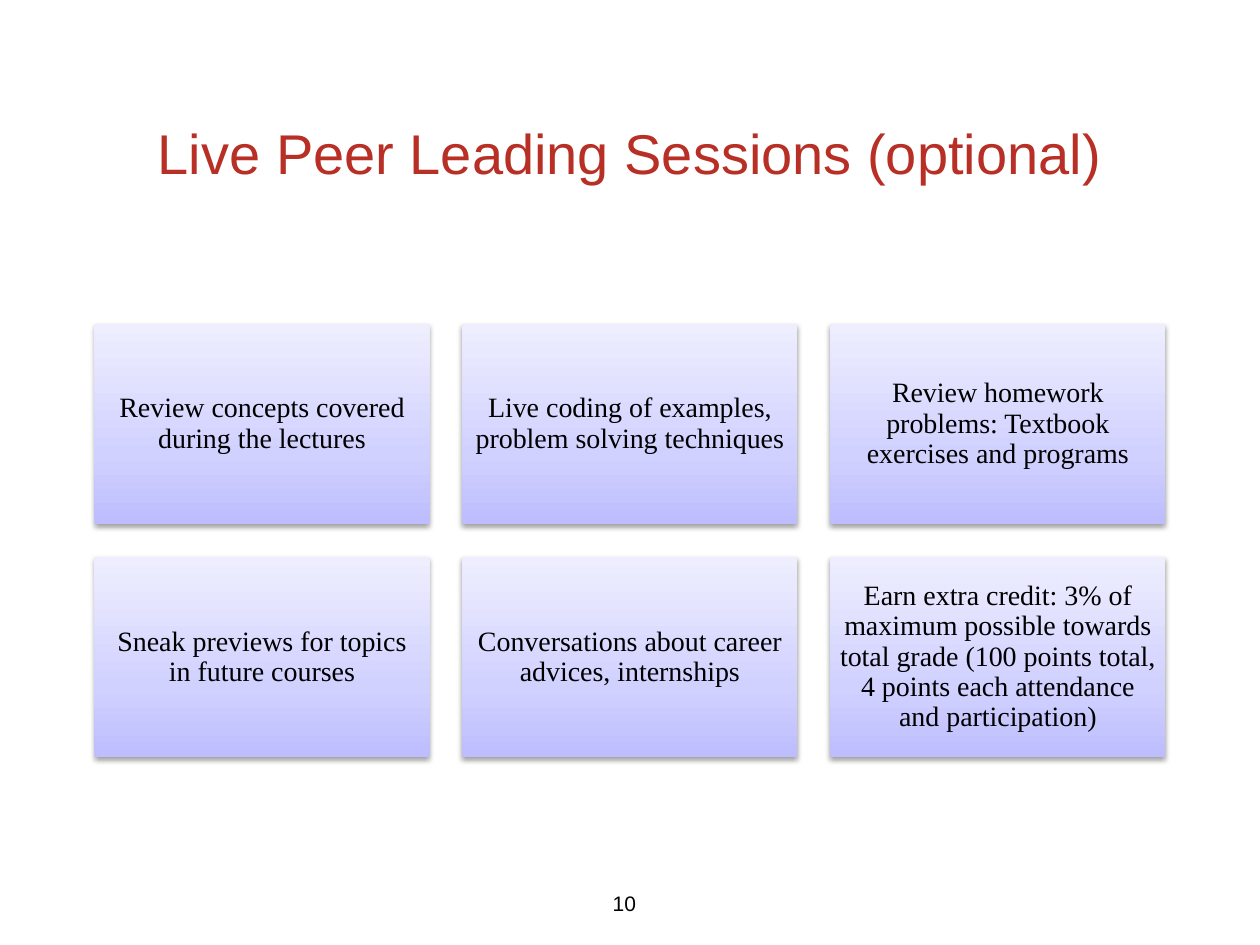
from copy import deepcopy
from dataclasses import dataclass

from lxml.etree import SubElement
from pptx import Presentation
from pptx.dml.color import RGBColor
from pptx.enum.shapes import MSO_SHAPE
from pptx.enum.text import MSO_ANCHOR, MSO_AUTO_SIZE, PP_ALIGN
from pptx.oxml.ns import qn
from pptx.util import Inches, Pt


@dataclass(frozen=True)
class Theme:
    title: str = "B82F25"
    text: str = "000000"
    shadow: str = "000000"
    gradient: tuple = ((0, "BDBDFF"), (0.35, "D1D1FF"), (1, "EEEEFF"))
    sans: str = "Arial"
    serif: str = "Times New Roman"
    title_size: int = 32
    card_size: int = 16
    number_size: int = 12


THEME = Theme()

BENEFITS = [
    "Review concepts covered during the lectures",
    "Live coding of examples, problem solving techniques",
    "Review homework problems: Textbook exercises and programs",
    "Sneak previews for topics in future courses",
    "Conversations about career advices, internships",
    "Earn extra credit: 3% of maximum possible towards total grade "
    "(100 points total, 4 points each attendance and participation)",
]


def set_text(s, text, *, size, font=THEME.sans, color=THEME.text,
             margins=(0.1, 0.05), line_spacing=None, wrap=True):
    tf = s.text_frame
    tf.word_wrap = wrap
    tf.auto_size = MSO_AUTO_SIZE.NONE
    tf.vertical_anchor = MSO_ANCHOR.MIDDLE
    tf.margin_left = tf.margin_right = Inches(margins[0])
    tf.margin_top = tf.margin_bottom = Inches(margins[1])
    p = tf.paragraphs[0]
    p.alignment = PP_ALIGN.CENTER
    if line_spacing:
        p.line_spacing = line_spacing
    r = p.add_run()
    r.text = text
    r.font.name = font
    r.font.size = Pt(size)
    r.font.color.rgb = RGBColor.from_string(color)


def fill_gradient(s):
    """Fill with the theme's three colours, running from bottom to top."""
    s.fill.gradient()
    s.fill.gradient_angle = 90
    first = s._element.spPr.find(".//" + qn("a:gs"))
    first.addnext(deepcopy(first))
    for stop, (position, color) in zip(s.fill.gradient_stops, THEME.gradient):
        stop.position = position
        stop.color.rgb = RGBColor.from_string(color)


def add_drop_shadow(s):
    s.shadow.inherit = False
    effects = s._element.spPr.find(qn("a:effectLst"))
    shadow = SubElement(effects, qn("a:outerShdw"), blurRad=str(Pt(3.1)),
                        dist=str(Pt(1.6)), dir="5400000", rotWithShape="0")
    color = SubElement(shadow, qn("a:srgbClr"), val=THEME.shadow)
    SubElement(color, qn("a:alpha"), val="38000")


def add_title(slide, text, left, top, width, height):
    s = slide.shapes.title
    s.left, s.top, s.width, s.height = left, top, width, height
    set_text(s, text, size=THEME.title_size, color=THEME.title)


def add_card(shapes, text, left, top, width, height):
    s = shapes.add_shape(MSO_SHAPE.RECTANGLE, left, top, width, height)
    fill_gradient(s)
    s.line.fill.background()
    add_drop_shadow(s)
    set_text(s, text, size=THEME.card_size, font=THEME.serif,
             margins=(0.07, 0.07), line_spacing=0.9)


def add_card_grid(slide, texts, left, top, width, height,
                  columns=3, gap=Inches(0.26)):
    rows = -(-len(texts) // columns)
    card_w = (width - gap * (columns - 1)) // columns
    card_h = (height - gap * (rows - 1)) // rows
    group = slide.shapes.add_group_shape()
    for i, text in enumerate(texts):
        row, column = divmod(i, columns)
        add_card(group.shapes, text, left + column * (card_w + gap),
                 top + row * (card_h + gap), card_w, card_h)


def add_page_number(slide, number, left, top, width, height):
    s = slide.shapes.add_textbox(left, top, width, height)
    set_text(s, str(number), size=THEME.number_size, wrap=False)


def main():
    prs = Presentation()
    prs.slide_width, prs.slide_height = Inches(10), Inches(7.5)
    slide = prs.slides.add_slide(prs.slide_layouts[5])
    left, width = Inches(0.75), Inches(8.5)
    add_title(slide, "Live Peer Leading Sessions (optional)",
              left, Inches(0.83), width, Inches(0.75))
    add_card_grid(slide, BENEFITS, left, Inches(2.57), width, Inches(3.44))
    add_page_number(slide, 10, Inches(4.58), Inches(7), Inches(0.75), Inches(0.33))
    prs.save("out.pptx")


if __name__ == "__main__":
    main()
